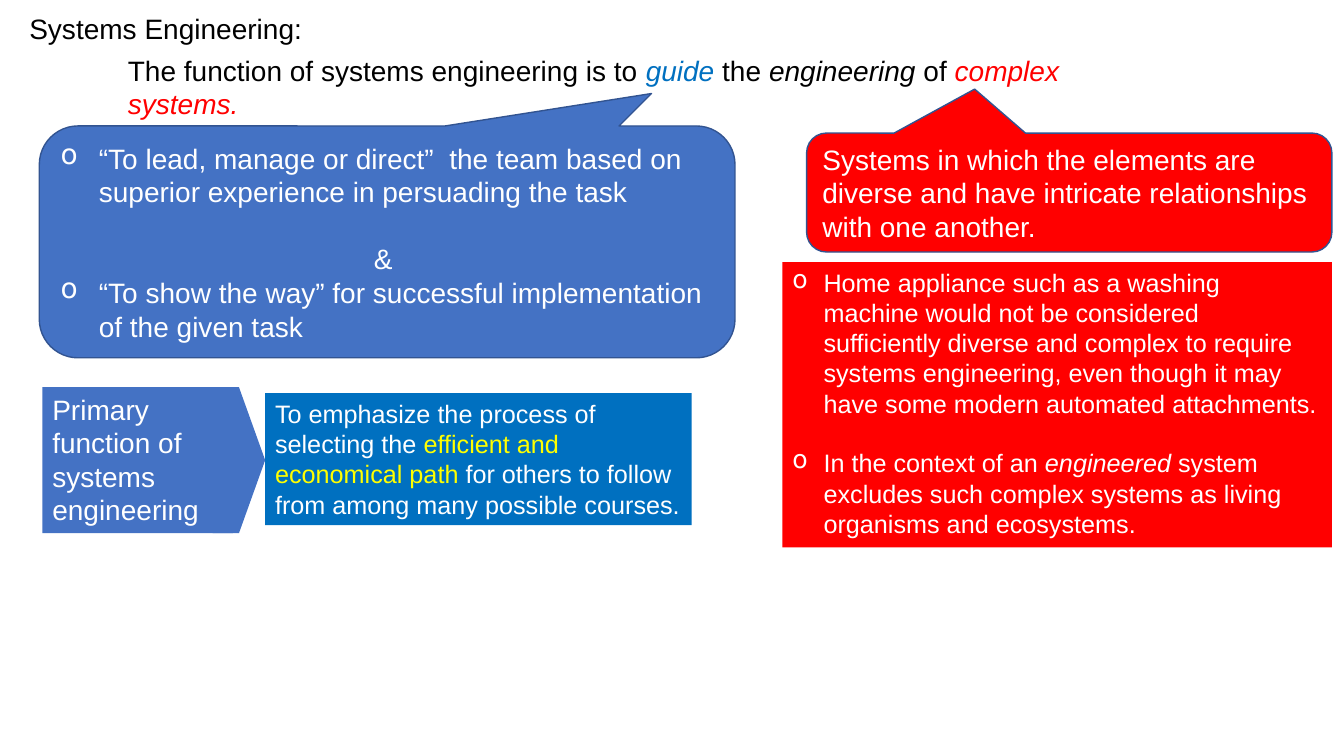
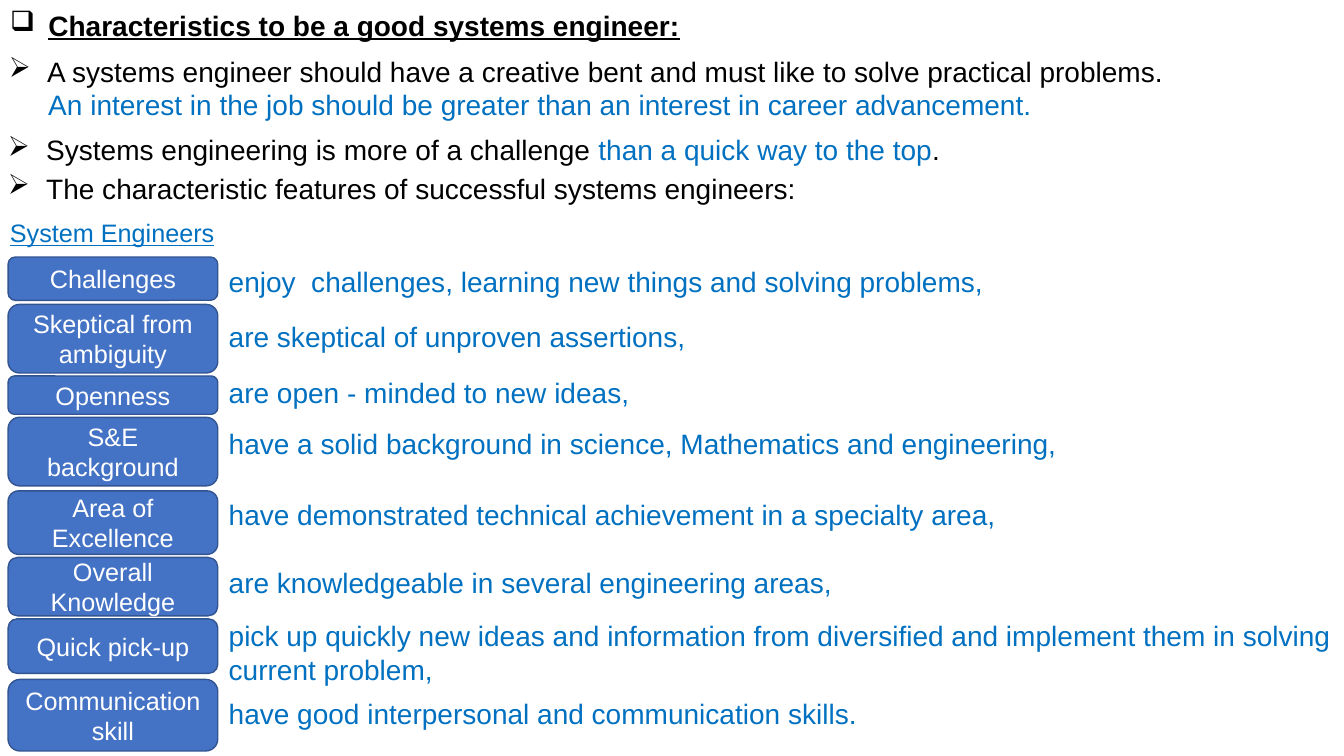
from lxml import etree
from pptx import Presentation
from pptx.dml.color import RGBColor
from pptx.enum.shapes import MSO_SHAPE
from pptx.enum.text import MSO_ANCHOR, MSO_AUTO_SIZE, PP_ALIGN
from pptx.oxml.ns import qn
from pptx.util import Pt

PX = 9144  # EMU per px, 100 px to the inch
WIDTH, HEIGHT = 1333, 750
FONT = "Arial"
COLORS = {
    "black": "000000",
    "white": "FFFFFF",
    "blue": "0070C0",
    "panel": "4472C4",
    "outline": "325491",
    "red": "FF0000",
    "yellow": "FFFF00",
}
RECT = MSO_SHAPE.RECTANGLE
ROUNDED = MSO_SHAPE.ROUNDED_RECTANGLE
CALLOUT = MSO_SHAPE.ROUNDED_RECTANGULAR_CALLOUT
ARROW = MSO_SHAPE.PENTAGON
TOP, MIDDLE = MSO_ANCHOR.TOP, MSO_ANCHOR.MIDDLE
LEFT, CENTER = PP_ALIGN.LEFT, PP_ALIGN.CENTER


def add_box(slide, bounds, kind=None, fill=None, outlined=False, anchor=TOP):
    """Add a text box, or a filled shape when kind is given."""
    place = [n * PX for n in bounds]
    if kind is None:
        box = slide.shapes.add_textbox(*place)
    else:
        box = slide.shapes.add_shape(kind, *place)
        box.shadow.inherit = False
        box.fill.solid()
        box.fill.fore_color.rgb = RGBColor.from_string(COLORS[fill])
        if outlined:
            box.line.color.rgb = RGBColor.from_string(COLORS["outline"])
            box.line.width = Pt(1)
        else:
            box.line.fill.background()
    box.text_frame.word_wrap = True
    box.text_frame.vertical_anchor = anchor
    return box


def write(box, *runs, size=20, color="black", align=LEFT, bullet=None,
          indent=0, before=0, bold=False, underline=False):
    """Write one paragraph; a run is a string or (string, color, italic)."""
    frame = box.text_frame
    para = frame.paragraphs[0]
    if para.runs:
        para = frame.add_paragraph()
    props = para._p.get_or_add_pPr()
    if indent:
        props.set("marL", str(indent * PX))
        props.set("indent", str(-indent * PX if bullet else 0))
    if bullet:
        etree.SubElement(props, qn("a:buChar")).set("char", bullet)
    para.alignment = align
    if before:
        para.space_before = Pt(before)
    for item in runs:
        text, run_color, italic = (item, color, False) if isinstance(item, str) else item
        run = para.add_run()
        run.text = text
        run.font.name = FONT
        run.font.size = Pt(size)
        run.font.bold = bold
        run.font.italic = italic
        run.font.underline = underline
        run.font.color.rgb = RGBColor.from_string(COLORS[run_color])


prs = Presentation()
prs.slide_width, prs.slide_height = WIDTH * PX, HEIGHT * PX
title_only = prs.slide_layouts[5]

slides = []
for text, bounds, style in [
    ("Systems Engineering:", (19, 6, 301, 44), {}),
    ("Characteristics to be a good systems engineer:", (0, 3, 859, 44),
     {"bullet": "❑", "indent": 38, "bold": True, "underline": True}),
]:
    slide = prs.slides.add_slide(title_only)
    title = slide.shapes.title
    title.left, title.top, title.width, title.height = [n * PX for n in bounds]
    title.text_frame.vertical_anchor = TOP
    title.text_frame.auto_size = MSO_AUTO_SIZE.NONE
    write(title, text, **style)
    slides.append(slide)
definition, traits = slides

# Slide 1: definition of systems engineering
statement = add_box(definition, (117, 48, 1059, 44))
write(statement, "The function of systems engineering is to ", ("guide ", "blue", True),
      "the ", ("engineering ", "black", True), "of ", ("complex systems.", "red", True))

emphasis = add_box(definition, (263, 390, 423, 131), RECT, "blue")
write(emphasis, "To emphasize the process of selecting the ",
      ("efficient and economical path", "yellow", False),
      " for others to follow from among many possible courses.", size=18, color="white")

guide = add_box(definition, (39, 125, 690, 230), CALLOUT, "panel", True, MIDDLE)
guide.adjustments[0], guide.adjustments[1] = 0.38, -0.64
guide_item = {"color": "white", "bullet": "o", "indent": 38}
write(guide, "“To lead, manage or direct”  the team based on superior experience "
      "in persuading the task", **guide_item)
write(guide, "& ", color="white", align=CENTER, before=24)
write(guide, "“To show the way” for successful implementation of the given task", **guide_item)

primary = add_box(definition, (42, 384, 189, 145), RECT, "panel")
write(primary, "Primary function of systems engineering", color="white")
add_box(definition, (211, 384, 52, 145), ARROW, "panel")

examples = add_box(definition, (776, 260, 545, 283), RECT, "red")
example_item = {"size": 18, "color": "white", "bullet": "o", "indent": 31}
write(examples, "Home appliance such as a washing machine would not be considered sufficiently "
      "diverse and complex to require systems engineering, even though it may have some "
      "modern automated attachments.", **example_item)
write(examples, "In the context of an ", ("engineered ", "white", True),
      "system excludes such complex systems as living organisms and ecosystems.",
      before=21, **example_item)

complex_systems = add_box(definition, (800, 132, 521, 118), CALLOUT, "red", True, MIDDLE)
complex_systems.adjustments[0], complex_systems.adjustments[1] = -0.18, -0.87
write(complex_systems, "Systems in which the elements are diverse and have intricate "
      "relationships with one another.", color="white")

# Slide 2: characteristics of a good systems engineer
point = {"bullet": "➢", "indent": 38}
creative = add_box(traits, (-1, 49, 1334, 77))
write(creative, "A systems engineer should have a creative bent and must like to solve "
      "practical problems.", **point)
write(creative, "An interest in the job should be greater than an interest in career "
      "advancement.", color="blue", indent=39)
challenge = add_box(traits, (-2, 127, 1295, 44))
write(challenge, "Systems engineering is more of a challenge ",
      ("than a quick way to the top", "blue", False), ".", **point)
features = add_box(traits, (-2, 165, 1313, 44))
write(features, "The characteristic features of successful systems engineers:", **point)
heading = add_box(traits, (0, 211, 225, 40))
write(heading, "System Engineers", size=18, color="blue", underline=True)

LABEL_LEFT, LABEL_WIDTH, TRAIT_LEFT = 8, 208, 217
# label, its top and height, trait, its top and height
for label, label_top, label_height, trait, trait_top, trait_height in [
    ("Challenges", 255, 43,
     "enjoy  challenges, learning new things and solving problems,", 258, 44),
    ("Skeptical from ambiguity", 302, 68, "are skeptical of unproven assertions,", 312, 44),
    ("Openness", 373, 38, "are open - minded to new ideas,", 368, 44),
    ("S&E background", 414, 68,
     "have a solid background in science, Mathematics and engineering,", 418, 44),
    ("Area of Excellence", 487, 63,
     "have demonstrated technical achievement in a specialty area,", 489, 44),
    ("Overall Knowledge", 553, 58, "are knowledgeable in several engineering areas,", 556, 44),
    ("Quick pick-up", 614, 54,
     "pick up quickly new ideas and information from diversified and implement them in "
     "solving current problem,", 609, 77),
    ("Communication skill", 674, 71,
     "have good interpersonal and communication skills.", 686, 44),
]:
    tag = add_box(traits, (LABEL_LEFT, label_top, LABEL_WIDTH, label_height),
                  ROUNDED, "panel", True, MIDDLE)
    write(tag, label, size=18, color="white", align=CENTER)
    explanation = add_box(traits, (TRAIT_LEFT, trait_top, WIDTH - TRAIT_LEFT, trait_height))
    write(explanation, trait, color="blue")

prs.save("out.pptx")
